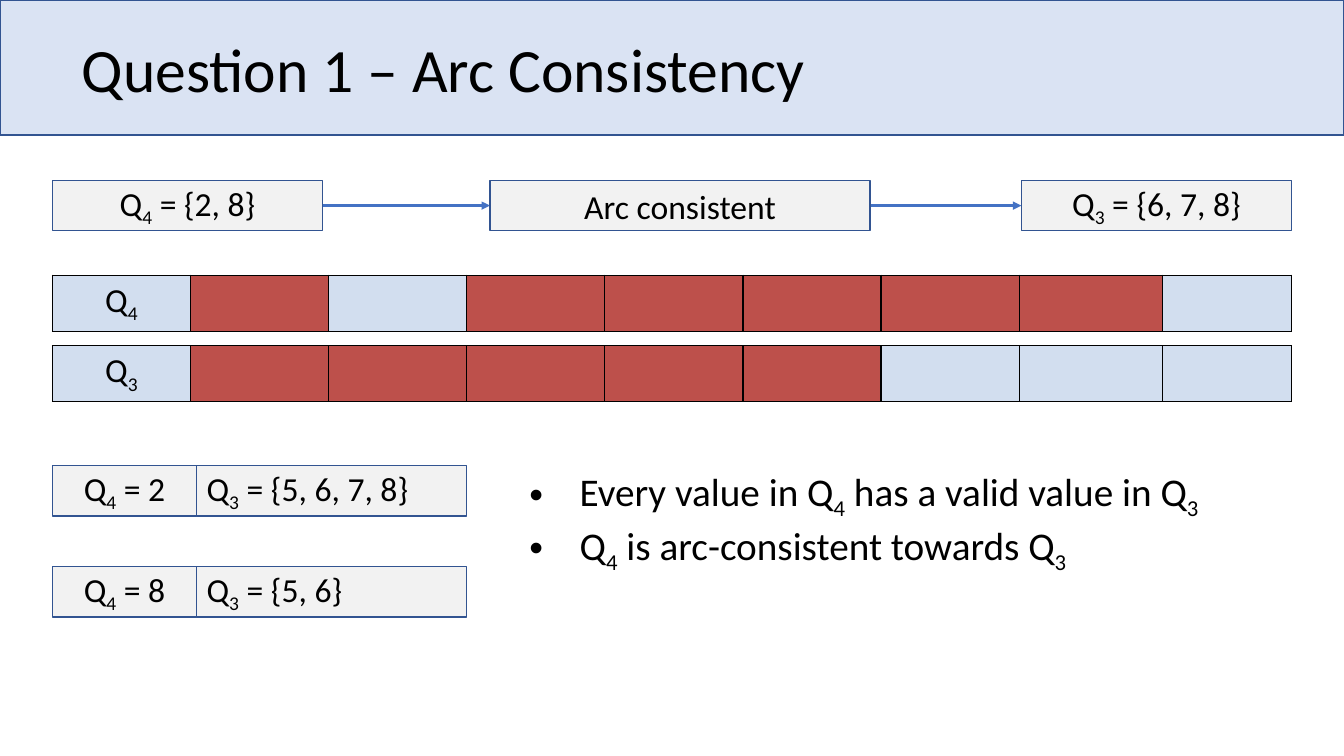
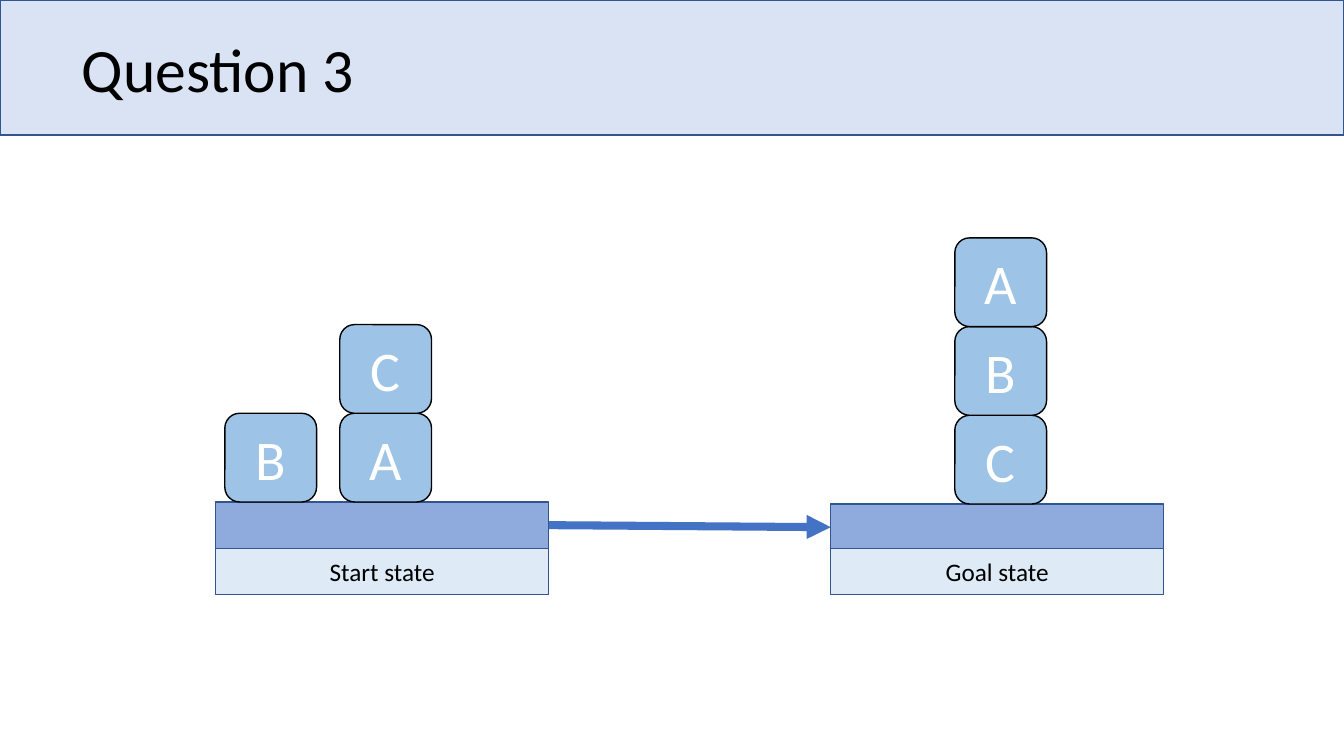
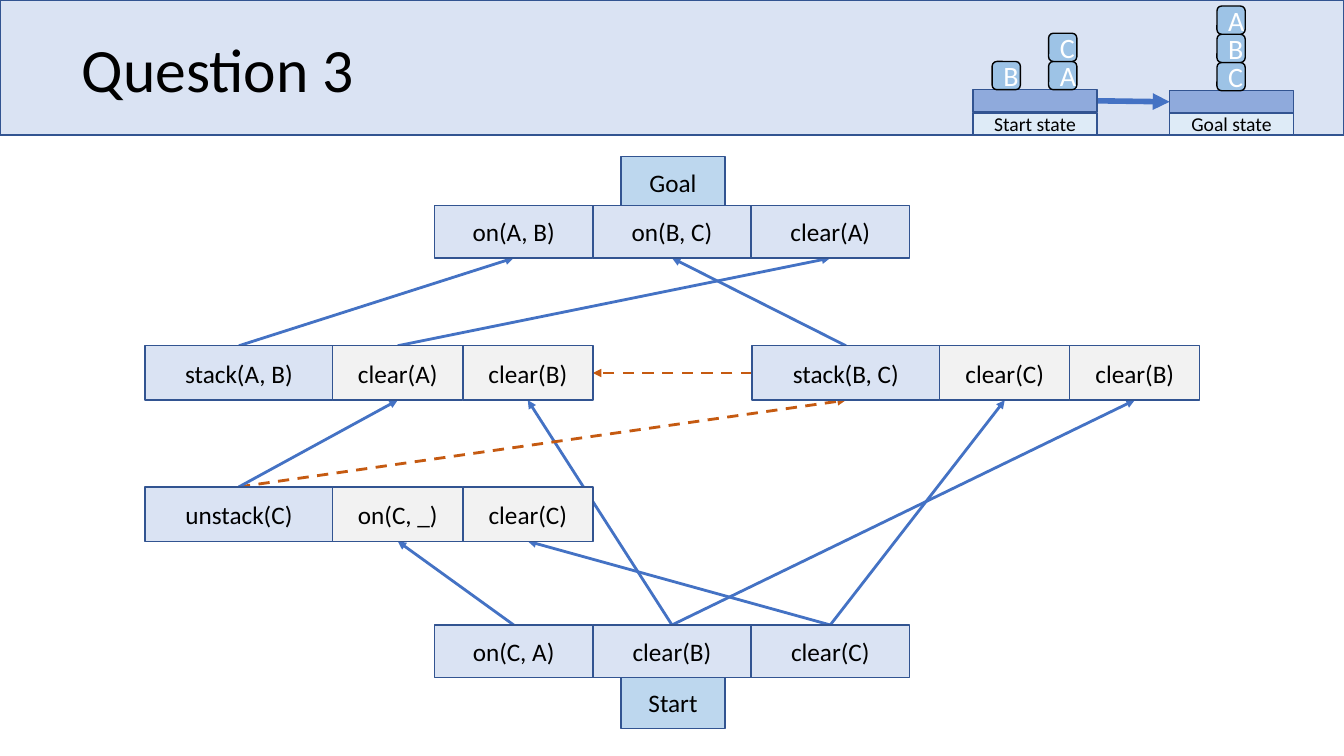
from lxml import etree
from pptx import Presentation
from pptx.dml.color import RGBColor
from pptx.enum.dml import MSO_LINE
from pptx.enum.shapes import MSO_CONNECTOR, MSO_SHAPE
from pptx.enum.text import MSO_ANCHOR, MSO_AUTO_SIZE, PP_ALIGN
from pptx.oxml.ns import qn
from pptx.util import Inches, Pt

RECT, ROUND = MSO_SHAPE.RECTANGLE, MSO_SHAPE.ROUNDED_RECTANGLE
LEFT, CENTER = PP_ALIGN.LEFT, PP_ALIGN.CENTER
MIDDLE = MSO_ANCHOR.MIDDLE
STRAIGHT = MSO_CONNECTOR.STRAIGHT
DASH = MSO_LINE.DASH
GROW = MSO_AUTO_SIZE.SHAPE_TO_FIT_TEXT
TOP_SIDE, LEFT_SIDE, BOTTOM_SIDE, RIGHT_SIDE = range(4)


class Theme:
    font = "Calibri"
    black = RGBColor.from_string("000000")
    white = RGBColor.from_string("FFFFFF")
    band = RGBColor.from_string("DAE3F3")
    outline = RGBColor.from_string("325491")
    grey = RGBColor.from_string("F2F2F2")
    allowed = RGBColor.from_string("D2DEEF")
    removed = RGBColor.from_string("BD504B")
    block = RGBColor.from_string("9DC3E6")
    table_top = RGBColor.from_string("8FAADC")
    caption = RGBColor.from_string("DEEBF7")
    endpoint = RGBColor.from_string("BDD7EE")
    arrow = RGBColor.from_string("4472C4")
    ordering = RGBColor.from_string("C55A11")
    title_size = 44
    bullet_size = 28
    domain_size = 24
    plan_size = 18


def write(p, text, size, color=Theme.black, align=CENTER):
    p.alignment = align
    for i, part in enumerate(text.split("|")):
        if part:
            r = p.add_run()
            r.text = part
            r.font.name = Theme.font
            r.font.size = Pt(size)
            r.font.color.rgb = color
            if i % 2:
                r.font._element.set("baseline", "-25000")


def box(s, x, y, w, h, fill, text="", size=Theme.plan_size, align=CENTER,
        kind=RECT, line=Theme.outline, color=Theme.black):
    sp = s.shapes.add_shape(kind, Inches(x), Inches(y), Inches(w), Inches(h))
    sp.shadow.inherit = False
    sp.fill.solid()
    sp.fill.fore_color.rgb = fill
    sp.line.color.rgb = line
    sp.line.width = Pt(1)
    sp.text_frame.vertical_anchor = MIDDLE
    write(sp.text_frame.paragraphs[0], text, size, color, align)
    return sp


prs = Presentation()
prs.slide_width, prs.slide_height = Inches(13.33), Inches(7.5)
content_layout, title_layout = prs.slide_layouts[1], prs.slide_layouts[5]

consistency = prs.slides.add_slide(content_layout)
states = prs.slides.add_slide(title_layout)
plan = prs.slides.add_slide(title_layout)

master_title = prs.slide_master.placeholders[0]
master_title.left, master_title.top = Inches(0.71), Inches(-0.01)
master_title.width, master_title.height = Inches(11.5), Inches(1.45)
band = box(consistency, 0, 0, 13.33, 1.34, Theme.band)
band.element.nvSpPr.cNvPr.set("id", "20")
master_title.element.addprevious(band.element)

titles = [
    (consistency, "Question 1 – Arc Consistency"),
    (states, "Question 3"),
    (plan, "Question 3"),
]
for s, title in titles:
    tf = s.shapes.title.text_frame
    tf.vertical_anchor = MIDDLE
    write(tf.paragraphs[0], title, Theme.title_size, align=LEFT)
    tf.paragraphs[0].line_spacing = 0.9

arrows = []

margin, right_edge = 0.52, 12.81
q4_w, q3_w, box_h = 1.43, 2.68, 0.5
q4_domain, verdict, q3_domain = [
    box(consistency, x, 1.79, w, box_h, Theme.grey, text, Theme.domain_size)
    for x, w, text in [
        (margin, q3_w, "Q|4| = {2, 8}"),
        (4.86, 3.77, "Arc consistent"),
        (right_edge - q3_w, q3_w, "Q|3| = {6, 7, 8}"),
    ]
]
for a, b in [(q4_domain, verdict), (verdict, q3_domain)]:
    arrows.append((consistency, a, RIGHT_SIDE, b, LEFT_SIDE, 2, False))

col_widths = [1.37] * 7 + [1.42, 1.28]
for y, label, allowed in [(2.73, "Q|4", {2, 8}), (3.43, "Q|3", {6, 7, 8})]:
    table = consistency.shapes.add_table(
        1, len(col_widths), Inches(margin), Inches(y),
        Inches(right_edge - margin), Inches(box_h)).table
    table.first_row = table.horz_banding = False
    for i, w in enumerate(col_widths):
        table.columns[i].width = Inches(w)
        cell = table.cell(0, i)
        cell.vertical_anchor = MIDDLE
        cell.fill.solid()
        cell.fill.fore_color.rgb = (
            Theme.allowed if i == 0 or i in allowed else Theme.removed)
        tcPr = cell._tc.get_or_add_tcPr()
        for n, side in enumerate(["a:lnL", "a:lnR", "a:lnT", "a:lnB"]):
            ln = etree.Element(qn(side), w=str(Pt(1)))
            fill = etree.SubElement(ln, qn("a:solidFill"))
            etree.SubElement(fill, qn("a:srgbClr"), val=str(Theme.black))
            tcPr.insert(n, ln)
    write(table.cell(0, 0).text_frame.paragraphs[0], label, Theme.domain_size)

for y, value, support in [
    (4.62, "Q|4| = 2", "Q|3| = {5, 6, 7, 8}"),
    (5.62, "Q|4| = 8", "Q|3| = {5, 6}"),
]:
    box(consistency, margin, y, q4_w, box_h, Theme.grey, value, Theme.domain_size)
    box(consistency, margin + q4_w, y, q3_w, box_h, Theme.grey, support,
        Theme.domain_size, LEFT)

body = consistency.placeholders[1]
body.left, body.top = Inches(5.15), Inches(4.59)
body.width, body.height = Inches(7.11), Inches(1.04)
tf = body.text_frame
tf.auto_size = GROW
for i, text in enumerate([
    "Every value in Q|4| has a valid value in Q|3",
    "Q|4| is arc-consistent towards Q|3",
]):
    p = tf.add_paragraph() if i else tf.paragraphs[0]
    pPr = p._p.get_or_add_pPr()
    pPr.set("marL", str(Inches(0.5)))
    pPr.set("indent", str(Inches(-0.5)))
    etree.SubElement(pPr, qn("a:buFont"), typeface="Arial")
    etree.SubElement(pPr, qn("a:buChar"), char="•")
    p.space_before = Pt(0)
    write(p, text, Theme.bullet_size, align=LEFT)

scenes = [
    (states, 0.91, 0.88, 40, 3.3, 0.46, 5.44, 18, 5.75, [
        ("Start state", 2.14, 4.98, [(0.09, "B"), (1.23, "AC")]),
        ("Goal state", 8.24, 5, [(1.23, "CBA")]),
    ]),
    (plan, 0.28, 0.28, 20, 1.23, 0.22, 1.12, 14, 4, [
        ("Start state", 9.65, 0.89, [(0.19, "B"), (0.75, "AC")]),
        ("Goal state", 11.6, 0.9, [(0.47, "CBA")]),
    ]),
]
for (s, block_w, block_h, block_size, top_w, top_h, caption_y, caption_size,
     arrow_width, sides) in scenes:
    tops = []
    for caption, x, y, stacks in sides:
        tops.append(box(s, x, y, top_w, top_h, Theme.table_top))
        box(s, x, caption_y, top_w, top_h, Theme.caption, caption, caption_size)
        for dx, letters in stacks:
            for level, letter in enumerate(letters, 1):
                box(s, x + dx, y - level * block_h, block_w, block_h, Theme.block,
                    letter, block_size, kind=ROUND, line=Theme.black,
                    color=Theme.white)
    arrows.append((s, tops[0], RIGHT_SIDE, tops[1], LEFT_SIDE, arrow_width, False))

for y, text in [(1.55, "Goal"), (6.71, "Start")]:
    box(plan, 6.16, y, 1.03, 0.52, Theme.endpoint, text)

state_cells = [(1.57, Theme.band)] * 3
action_cells = [(1.86, Theme.band)] + [(1.29, Theme.grey)] * 2
rows = []
for x, y, h, cells, texts in [
    (4.31, 2.04, 0.52, state_cells, ["on(A, B)", "on(B, C)", "clear(A)"]),
    (1.44, 3.43, 0.54, action_cells, ["stack(A, B)", "clear(A)", "clear(B)"]),
    (7.46, 3.43, 0.54, action_cells, ["stack(B, C)", "clear(C)", "clear(B)"]),
    (1.44, 4.83, 0.54, action_cells, ["unstack(C)", "on(C, _)", "clear(C)"]),
    (4.31, 6.2, 0.52, state_cells, ["on(C, A)", "clear(B)", "clear(C)"]),
]:
    row = []
    for (w, fill), text in zip(cells, texts):
        row.append(box(plan, x, y, w, h, fill, text))
        x += w
    rows.append(row)
goal, stack_ab, stack_bc, unstack, start = rows

for a, b, ordering in [
    (unstack[0], stack_ab[1], False),
    (unstack[0], stack_bc[0], True),
    (stack_ab[0], goal[0], False),
    (stack_ab[1], goal[2], False),
    (stack_bc[0], goal[1], False),
    (start[0], unstack[1], False),
    (start[2], unstack[2], False),
    (start[2], stack_bc[1], False),
    (start[1], stack_bc[2], False),
    (start[1], stack_ab[2], False),
]:
    arrows.append((plan, a, TOP_SIDE, b, BOTTOM_SIDE, 2, ordering))
arrows.append((plan, stack_bc[0], LEFT_SIDE, stack_ab[2], RIGHT_SIDE, 2, True))

for s, a, a_side, b, b_side, width, ordering in arrows:
    conn = s.shapes.add_connector(STRAIGHT, 0, 0, 0, 0)
    conn.begin_connect(a, a_side)
    conn.end_connect(b, b_side)
    conn.line.color.rgb = Theme.ordering if ordering else Theme.arrow
    conn.line.width = Pt(width)
    if ordering:
        conn.line.dash_style = DASH
    spPr = conn.element.spPr
    etree.SubElement(spPr.find(qn("a:ln")), qn("a:tailEnd"), type="triangle")
    etree.SubElement(spPr, qn("a:effectLst"))
    conn.element.getparent().insert(2, conn.element)

prs.save("out.pptx")
